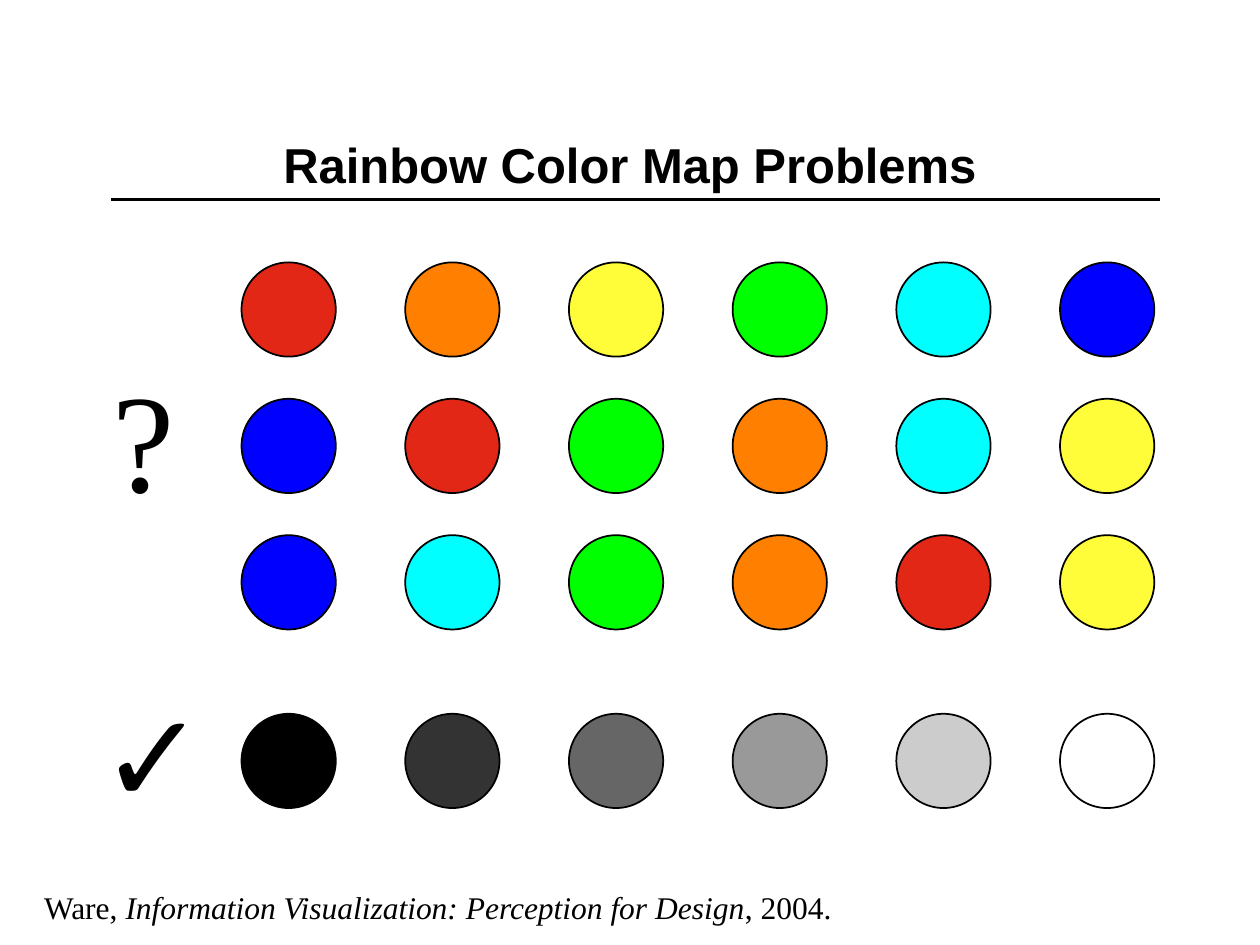
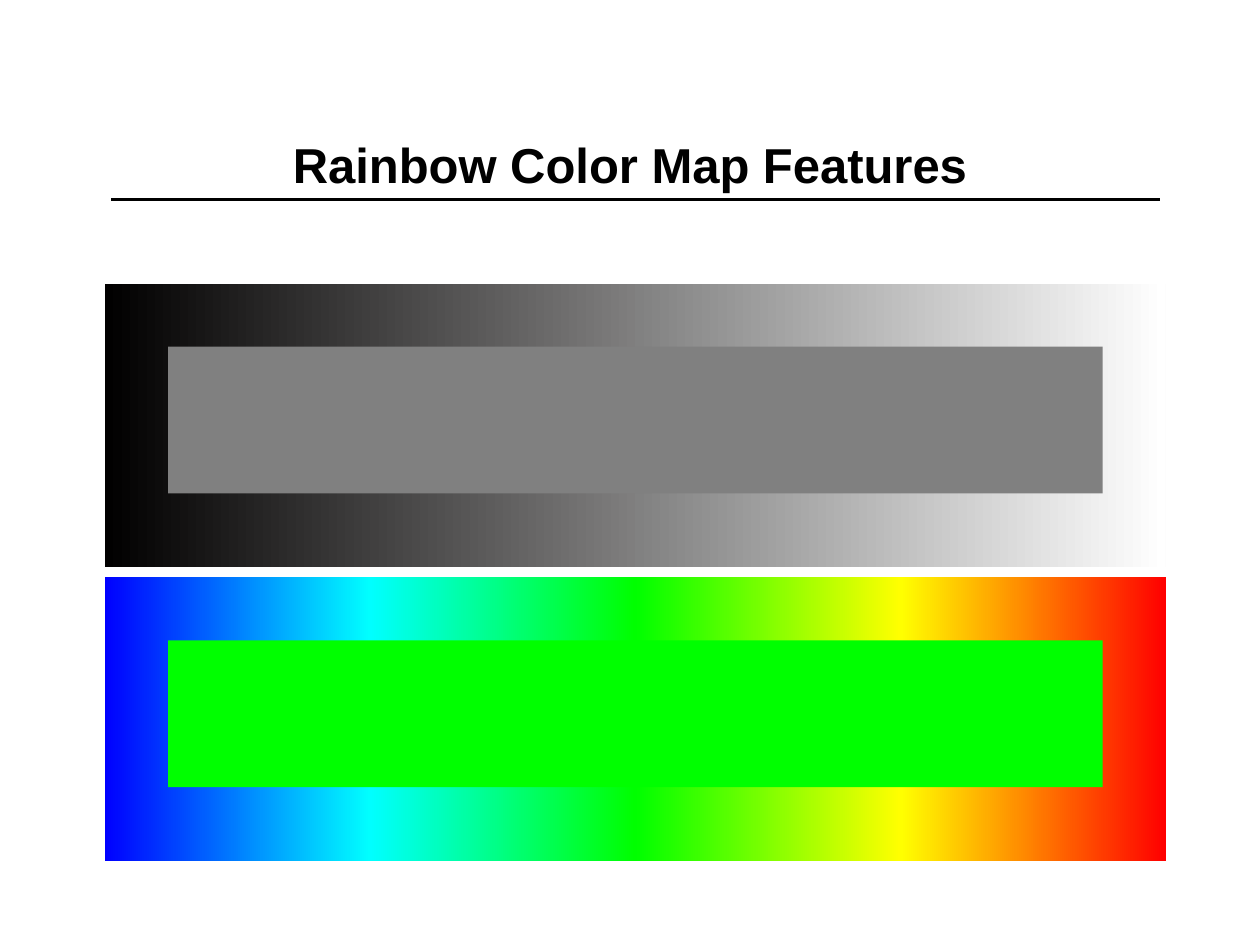
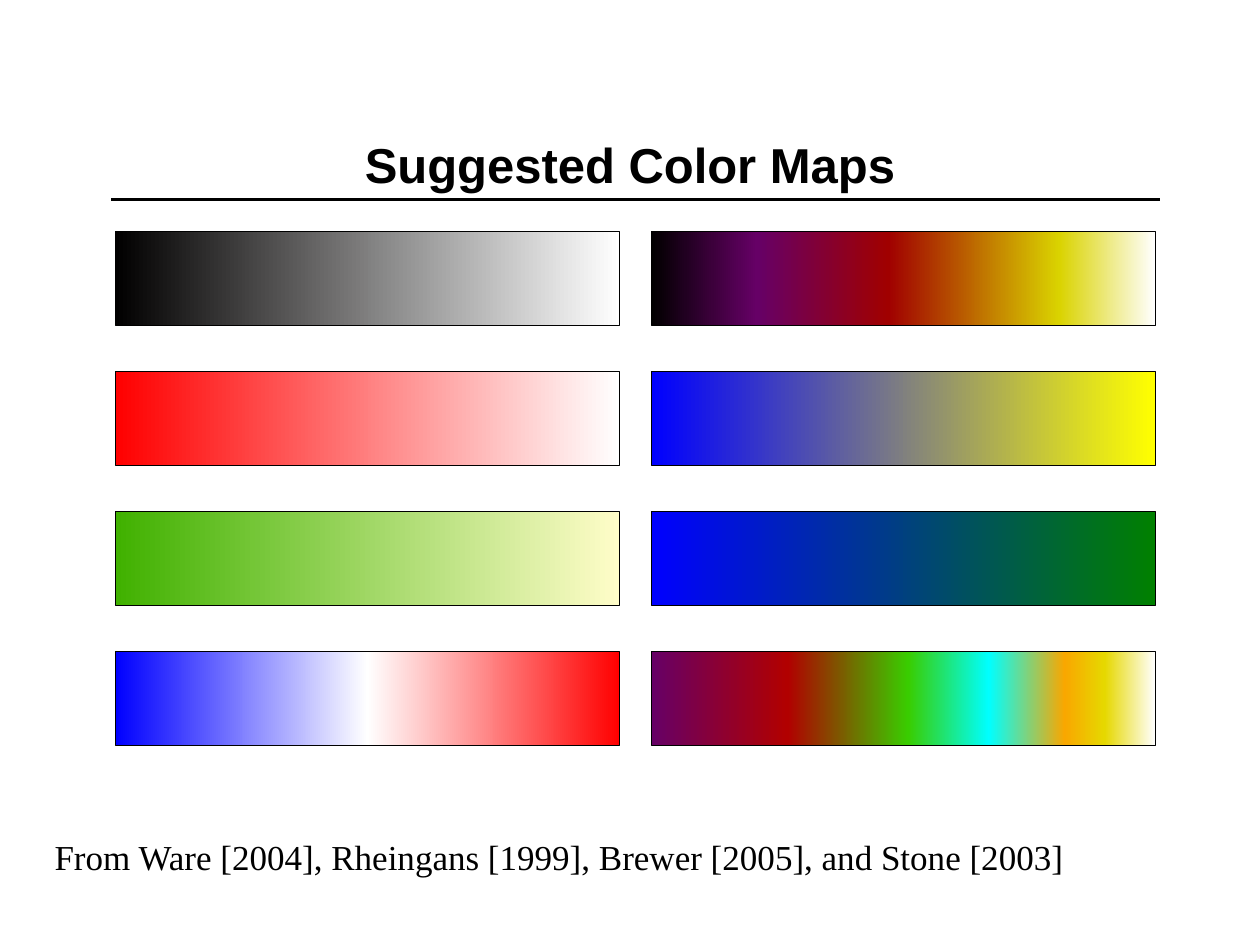
from dataclasses import dataclass

from lxml.etree import SubElement
from pptx import Presentation
from pptx.dml.color import RGBColor
from pptx.enum.shapes import MSO_CONNECTOR, MSO_SHAPE
from pptx.enum.text import MSO_ANCHOR, MSO_AUTO_SIZE, PP_ALIGN
from pptx.oxml.ns import qn
from pptx.presentation import Presentation as Deck
from pptx.shapes.autoshape import Shape
from pptx.slide import Slide
from pptx.util import Cm, Pt

# Shared look
COLORS = {
    "ink": "000000", "black": "010000", "white": "FFFFFF",
    "brick": "E22717", "orange": "FF7F00", "lemon": "FFFD3A",
    "lime": "00FF00", "cyan": "00FFFF", "blue": "0000FF",
    "red": "FF0000", "yellow": "FFFF00", "green": "008000",
    "charcoal": "333333", "dim": "666666", "gray": "808080",
    "ash": "999999", "silver": "CCCCCC",
    "purple": "660066", "crimson": "A00000", "mustard": "DAD300",
    "ruby": "B10000", "leaf": "39CD00", "amber": "F9A700", "gold": "E6D800",
    "grass": "40B100", "cream": "FFFDC9",
}
HEADING_FONT = "Arial"
BODY_FONT = "Times New Roman"


@dataclass(frozen=True)
class Frame:
    """Place and size in centimetres."""
    left: float
    top: float
    width: float
    height: float


@dataclass(frozen=True)
class Span:
    text: str
    italic: bool = False


@dataclass(frozen=True)
class Label:
    frame: Frame
    spans: tuple[Span, ...]
    size: float
    font: str = BODY_FONT


@dataclass(frozen=True)
class Stop:
    percent: int
    color: str


@dataclass(frozen=True)
class Ramp:
    """A color map whose inner patch has the color of its middle."""
    top: float
    stops: tuple[Stop, ...]
    patch_color: str


def even_stops(*names: str) -> tuple[Stop, ...]:
    """Spread the colors evenly from 0 to 100 percent."""
    return tuple(Stop(100 * i // (len(names) - 1), name) for i, name in enumerate(names))


def rgb(name: str) -> RGBColor:
    return RGBColor.from_string(COLORS[name])


# Drawing functions
def add_span(para, span: Span, font: str, size: float, bold: bool = False) -> None:
    run = para.add_run()
    run.text = span.text
    run.font.name = font
    run.font.size = Pt(size)
    run.font.bold = bold
    run.font.italic = span.italic
    run.font.color.rgb = rgb("ink")


def add_page(deck: Deck, heading: str) -> Slide:
    """Add a slide with the heading and the rule below it."""
    page = deck.slides.add_slide(deck.slide_layouts[5])
    title = page.shapes.title
    title.left, title.top = Cm(1.9), Cm(0.64)
    title.width, title.height = Cm(21.6), Cm(3.38)
    text = title.text_frame
    text.auto_size = MSO_AUTO_SIZE.NONE
    text.vertical_anchor = MSO_ANCHOR.BOTTOM
    para = text.paragraphs[0]
    para.alignment = PP_ALIGN.CENTER
    add_span(para, Span(heading), HEADING_FONT, 28, bold=True)

    rule = page.shapes.add_connector(
        MSO_CONNECTOR.STRAIGHT, Cm(2.24), Cm(4.02), Cm(23.38), Cm(4.02))
    rule.line.color.rgb = rgb("ink")
    rule.line.width = Pt(2)
    SubElement(rule.element.spPr, qn("a:effectLst"))
    return page


def add_label(page: Slide, label: Label) -> None:
    frame = label.frame
    box = page.shapes.add_textbox(
        Cm(frame.left), Cm(frame.top), Cm(frame.width), Cm(frame.height))
    text = box.text_frame
    text.word_wrap = False
    text.auto_size = MSO_AUTO_SIZE.SHAPE_TO_FIT_TEXT
    for span in label.spans:
        add_span(text.paragraphs[0], span, label.font, label.size)


def add_figure(page: Slide, kind: MSO_SHAPE, frame: Frame, outline: float = 0) -> Shape:
    """Add a shape with no fill yet; an outline of 0 points means none."""
    figure = page.shapes.add_shape(
        kind, Cm(frame.left), Cm(frame.top), Cm(frame.width), Cm(frame.height))
    figure.shadow.inherit = False
    if outline:
        figure.line.color.rgb = rgb("ink")
        figure.line.width = Pt(outline)
    else:
        figure.line.fill.background()
    return figure


def fill_solid(figure: Shape, color: str) -> None:
    figure.fill.solid()
    figure.fill.fore_color.rgb = rgb(color)


def fill_gradient(figure: Shape, stops: tuple[Stop, ...]) -> None:
    figure.fill.gradient()
    figure.fill.gradient_angle = 0
    stop_list = figure.element.spPr.find(f".//{qn('a:gsLst')}")
    for old_stop in list(stop_list):
        stop_list.remove(old_stop)
    for stop in stops:
        node = SubElement(stop_list, qn("a:gs"), pos=str(stop.percent * 1000))
        SubElement(node, qn("a:srgbClr"), val=COLORS[stop.color])


# Slide 1: circles to put in order
CIRCLE = 1.9
CIRCLE_LEFT, CIRCLE_PITCH = 4.87, 3.3
CIRCLE_ROWS = {
    5.29: ("brick", "orange", "lemon", "lime", "cyan", "blue"),
    8.04: ("blue", "brick", "lime", "orange", "cyan", "lemon"),
    10.79: ("blue", "cyan", "lime", "orange", "brick", "lemon"),
    14.39: ("black", "charcoal", "dim", "ash", "silver", "white"),
}
PROBLEM_LABELS = (
    Label(Frame(1.78, 13.54, 2.44, 3.33), (Span("✓"),), 72, HEADING_FONT),
    Label(Frame(2.01, 6.99, 1.78, 3.68), (Span("?"),), 80),
    Label(Frame(0.64, 17.78, 16.48, 1.02),
          (Span("Ware, "),
           Span("Information Visualization: Perception for Design", italic=True),
           Span(", 2004.")), 18),
)


def build_problems(deck: Deck) -> None:
    page = add_page(deck, "Rainbow Color Map Problems")
    for top, colors in CIRCLE_ROWS.items():
        for column, color in enumerate(colors):
            left = CIRCLE_LEFT + column * CIRCLE_PITCH
            circle = add_figure(page, MSO_SHAPE.OVAL, Frame(left, top, CIRCLE, CIRCLE), 1)
            fill_solid(circle, color)
    for label in PROBLEM_LABELS:
        add_label(page, label)


# Slide 2: a plain patch on each ramp
RAMPS = (
    Ramp(5.72, even_stops("black", "white"), "gray"),
    Ramp(11.64, even_stops("blue", "cyan", "lime", "yellow", "red"), "lime"),
)
RAMP_LEFT, RAMP_WIDTH, RAMP_HEIGHT = 2.12, 21.38, 5.72
PATCH_INSET, PATCH_HEIGHT = 1.27, 2.96


def build_features(deck: Deck) -> None:
    page = add_page(deck, "Rainbow Color Map Features")
    for ramp in RAMPS:
        band = add_figure(page, MSO_SHAPE.RECTANGLE,
                          Frame(RAMP_LEFT, ramp.top, RAMP_WIDTH, RAMP_HEIGHT))
        fill_gradient(band, ramp.stops)
        patch = add_figure(page, MSO_SHAPE.RECTANGLE,
                           Frame(RAMP_LEFT + PATCH_INSET, ramp.top + PATCH_INSET,
                                 RAMP_WIDTH - 2 * PATCH_INSET, PATCH_HEIGHT))
        fill_solid(patch, ramp.patch_color)


# Slide 3: two columns of color maps
MAP_LEFT, MAP_TOP = 2.33, 4.66
MAP_WIDTH, MAP_HEIGHT = 10.16, 1.9
MAP_COLUMN_PITCH, MAP_ROW_PITCH = 10.8, 2.82
MAP_COLUMNS = (
    (
        even_stops("black", "white"),
        even_stops("red", "white"),
        even_stops("grass", "cream"),
        even_stops("blue", "white", "red"),
    ),
    (
        (Stop(0, "black"), Stop(21, "purple"), Stop(47, "crimson"),
         Stop(81, "mustard"), Stop(100, "white")),
        even_stops("blue", "yellow"),
        even_stops("blue", "green"),
        (Stop(0, "purple"), Stop(27, "ruby"), Stop(51, "leaf"), Stop(67, "cyan"),
         Stop(82, "amber"), Stop(90, "gold"), Stop(100, "white")),
    ),
)
MAP_SOURCES = Label(
    Frame(0.85, 16.72, 21.03, 1.12),
    (Span("From Ware [2004], Rheingans [1999], Brewer [2005], and Stone [2003]"),), 20)


def build_suggestions(deck: Deck) -> None:
    page = add_page(deck, "Suggested Color Maps")
    for column, color_maps in enumerate(MAP_COLUMNS):
        for row, stops in enumerate(color_maps):
            frame = Frame(MAP_LEFT + column * MAP_COLUMN_PITCH,
                          MAP_TOP + row * MAP_ROW_PITCH, MAP_WIDTH, MAP_HEIGHT)
            fill_gradient(add_figure(page, MSO_SHAPE.RECTANGLE, frame, 0.25), stops)
    add_label(page, MAP_SOURCES)


def main() -> None:
    deck = Presentation()
    deck.slide_width, deck.slide_height = Cm(25.4), Cm(19.05)
    build_problems(deck)
    build_features(deck)
    build_suggestions(deck)
    deck.save("out.pptx")


if __name__ == "__main__":
    main()
